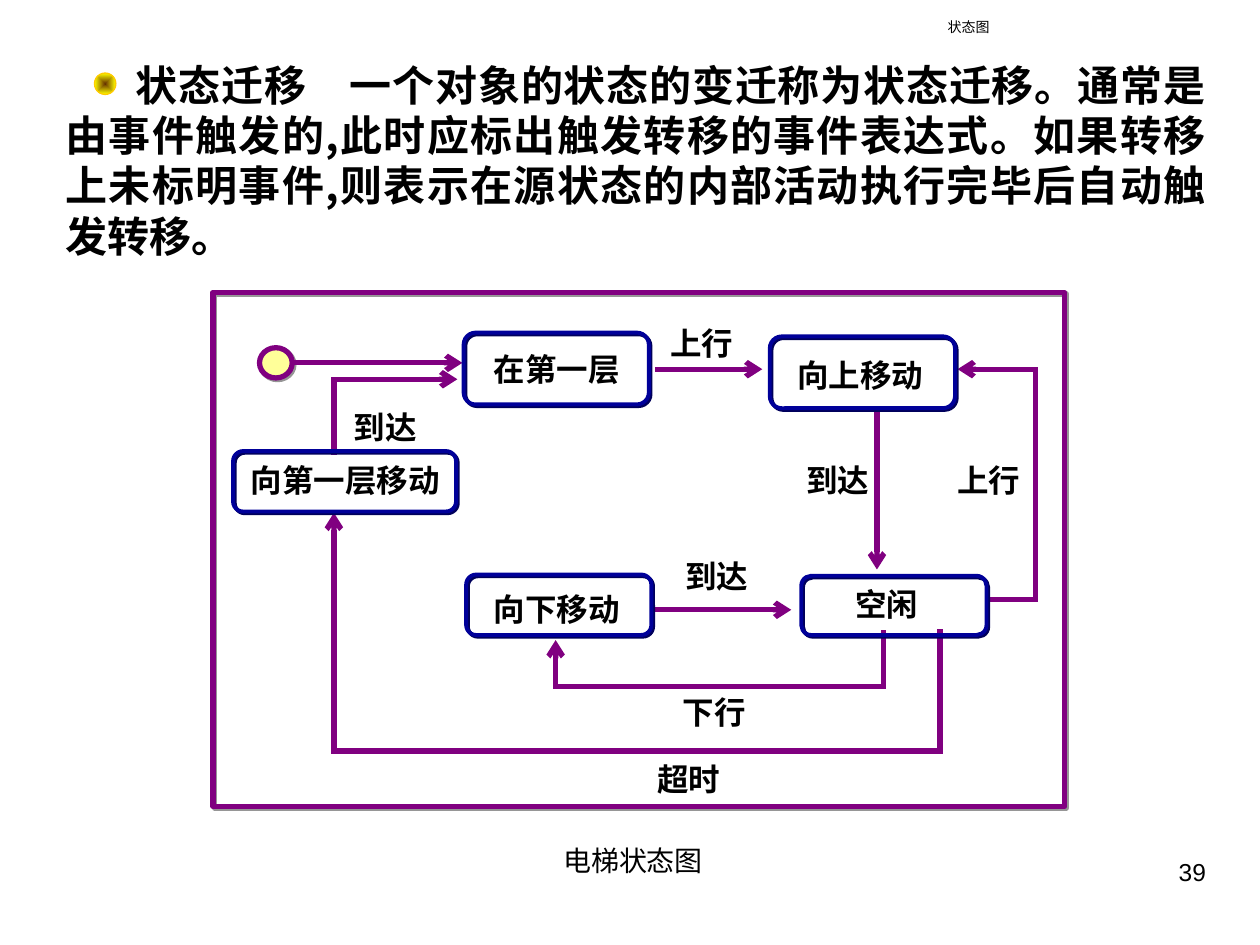
import pptx
import pptx.dml.color
import pptx.enum.shapes
import pptx.enum.text
import pptx.oxml.ns
import pptx.util
from lxml import etree

Inches = pptx.util.Inches
Pt = pptx.util.Pt
KIND = pptx.enum.shapes.MSO_SHAPE
ALIGN = pptx.enum.text.PP_ALIGN
FIT = pptx.enum.text.MSO_AUTO_SIZE
MID = pptx.enum.text.MSO_ANCHOR.MIDDLE
TOP = pptx.enum.text.MSO_ANCHOR.TOP

HAN = "Noto Sans CJK SC"
ROMAN = "Times New Roman"
PURPLE, NAVY, GRAY = "800080", "000099", "969696"

BODY = (
    "迁移\u3000一个对象的状态的变迁称为状态迁移。通常是由事件触发的,"
    "此时应标出触发转移的事件表达式。如果转移上未标明事件,"
    "则表示在源状态的内部活动执行完毕后自动触发转移。"
).replace("\u3000", "　")

STATES = [
    ("在第一层", (3.68, 2.64, 1.47, 0.57), (3.82, 2.73)),
    ("向上移动", (6.11, 2.67, 1.47, 0.57), (6.23, 2.78)),
    ("空闲", (6.36, 4.57, 1.47, 0.47), (6.69, 4.59)),
    ("向第一层移动", (1.85, 3.58, 1.77, 0.48), (1.89, 3.61)),
    ("向下移动", (3.7, 4.56, 1.47, 0.48), (3.82, 4.63)),
]
EVENTS = [
    ("上行", (5.22, 2.52)),
    ("到达", (6.3, 3.61)),
    ("上行", (7.5, 3.61)),
    ("到达", (5.34, 4.37)),
    ("下行", (5.32, 5.45)),
    ("超时", (5.12, 5.98)),
    ("到达", (2.71, 3.19)),
]
ROUTES = [
    [(2.32, 2.88), (3.67, 2.88)],
    [(5.2, 2.93), (6.05, 2.93)],
    [(6.96, 3.24), (6.96, 4.52)],
    [(5.16, 4.84), (6.28, 4.84)],
    [(7.85, 4.76), (8.22, 4.76), (8.22, 2.93), (7.6, 2.93)],
    [(7.01, 5.02), (7.01, 5.45), (4.41, 5.45), (4.41, 5.08)],
    [(7.46, 5.01), (7.46, 5.96), (2.65, 5.96), (2.65, 4.07)],
    [(2.65, 3.59), (2.65, 3.01), (3.63, 3.01)],
]


def color(code):
    """Turn a hex string into a colour."""
    return pptx.dml.color.RGBColor.from_string(code)


def node(parent, tag, **values):
    """Append an XML child with the given attributes."""
    return etree.SubElement(parent, pptx.oxml.ns.qn(tag), values)


def apply(target, values):
    """Set every attribute held in a dict."""
    for name, value in values.items():
        setattr(target, name, value)


def shade(parent, code):
    """Add a small offset shadow."""
    effect = node(parent, "a:effectLst")
    cast = node(effect, "a:outerShdw", dist="17780", dir="2700000")
    node(cast, "a:srgbClr", val=code)


def write(par, text, face=HAN, glow=None, **style):
    """Add a styled run to a paragraph."""
    run = par.add_run()
    run.text = text
    run.font.color.rgb = color("000000")
    props = run.font._element
    if glow:
        shade(props, glow)
    apply(run.font, {"name": face, **style})
    node(props, "a:ea", typeface=HAN)


def frame(box, style, **form):
    """Format a text frame and return its first paragraph."""
    apply(box.text_frame, {"word_wrap": True, "auto_size": FIT.NONE,
                           "vertical_anchor": TOP, **style})
    par = box.text_frame.paragraphs[0]
    apply(par, form)
    return par


def text(shapes, spot, style, **form):
    """Add a text box and return its first paragraph."""
    return frame(shapes.add_textbox(*map(Inches, spot)), style, **form)


def label(shapes, words, spot):
    """Add a shadowed label sized to its words."""
    size = (len(words) * 0.25 + 0.2, 0.4)
    style = {"word_wrap": False, "auto_size": FIT.SHAPE_TO_FIT_TEXT}
    par = text(shapes, (*spot, *size), style)
    write(par, words, ROMAN, GRAY, size=Pt(18), bold=True)


def outline(shapes, kind, spot, code, width, cast=None, fill=None):
    """Add a preset shape with a line and an optional fill and shadow."""
    shape = shapes.add_shape(kind, *map(Inches, spot))
    if fill:
        shape.fill.solid()
        shape.fill.fore_color.rgb = color(fill)
    else:
        shape.fill.background()
    shape.line.color.rgb = color(code)
    shape.line.width = Pt(width)
    if cast:
        shade(shape._element.spPr, cast)
    else:
        shape.shadow.inherit = False
    return shape


def route(shapes, points):
    """Draw a bent path that ends in an arrow."""
    for start, end in zip(points, points[1:]):
        link = shapes.add_connector(
            pptx.enum.shapes.MSO_CONNECTOR.STRAIGHT,
            *map(Inches, (*start, *end)))
        link.line.color.rgb = color(PURPLE)
        link.line.width = Pt(3)
        edge = link.line._get_or_add_ln()
        if end == points[-1]:
            node(edge, "a:tailEnd", type="arrow")
        else:
            edge.set("cap", "sq")
        node(link._element.spPr, "a:effectLst")


def bullet(shapes):
    """Draw the glowing round bullet."""
    dot = outline(shapes, KIND.OVAL, (0.75, 0.58, 0.17, 0.17), "FFCC00", 0.75)
    dot.fill.gradient()
    for stop, code in zip(dot.fill.gradient_stops, ("663300", "FFFF00")):
        stop.color.rgb = color(code)
    grad = dot._element.spPr.find(pptx.oxml.ns.qn("a:gradFill"))
    grad.remove(grad.find(pptx.oxml.ns.qn("a:lin")))
    way = node(grad, "a:path", path="rect")
    node(way, "a:fillToRect", l="50000", t="50000", r="50000", b="50000")


def chart(shapes):
    """Draw the state diagram."""
    outline(shapes, KIND.RECTANGLE, (1.69, 2.32, 6.76, 4.08), PURPLE, 3, GRAY)
    outline(shapes, KIND.OVAL, (2.06, 2.76, 0.26, 0.24), PURPLE, 3, GRAY,
            "FFFF99")
    for points in ROUTES:
        route(shapes, points)
    for words, spot, place in STATES:
        outline(shapes, KIND.ROUNDED_RECTANGLE, spot, NAVY, 2.25, "00005B")
        label(shapes, words, place)
    for words, place in EVENTS:
        label(shapes, words, place)


def main():
    """Build the slide and save it."""
    deck = pptx.Presentation()
    apply(deck, {"slide_width": Inches(10), "slide_height": Inches(7.5)})
    slide = deck.slides.add_slide(deck.slide_layouts[5])
    shapes = slide.shapes

    title = shapes.title
    apply(title, {"left": Inches(7.42), "top": Inches(0),
                  "width": Inches(2.33), "height": Inches(0.42)})
    par = frame(title, {"vertical_anchor": MID}, alignment=ALIGN.LEFT)
    write(par, "状态图", size=Pt(8))

    par = text(shapes, (0.42, 0.42, 9.25, 1.7), {},
               alignment=ALIGN.JUSTIFY, space_before=Pt(15))
    par._p.get_or_add_pPr().set("indent", str(Inches(0.56)))
    write(par, "状态", ROMAN, size=Pt(24), bold=True)
    write(par, BODY, size=Pt(24), bold=True)
    bullet(shapes)

    chart(shapes.add_group_shape().shapes)

    par = text(shapes, (3.66, 6.68, 2.73, 0.34), {}, alignment=ALIGN.CENTER,
               line_spacing=0.9, space_before=Pt(4))
    write(par, "电梯状态图", size=Pt(16))
    par = text(shapes, (7.17, 6.75, 2.5, 0.52), {}, alignment=ALIGN.RIGHT)
    write(par, "39", "Arial", size=Pt(14))
    deck.save("out.pptx")


if __name__ == "__main__":
    main()
